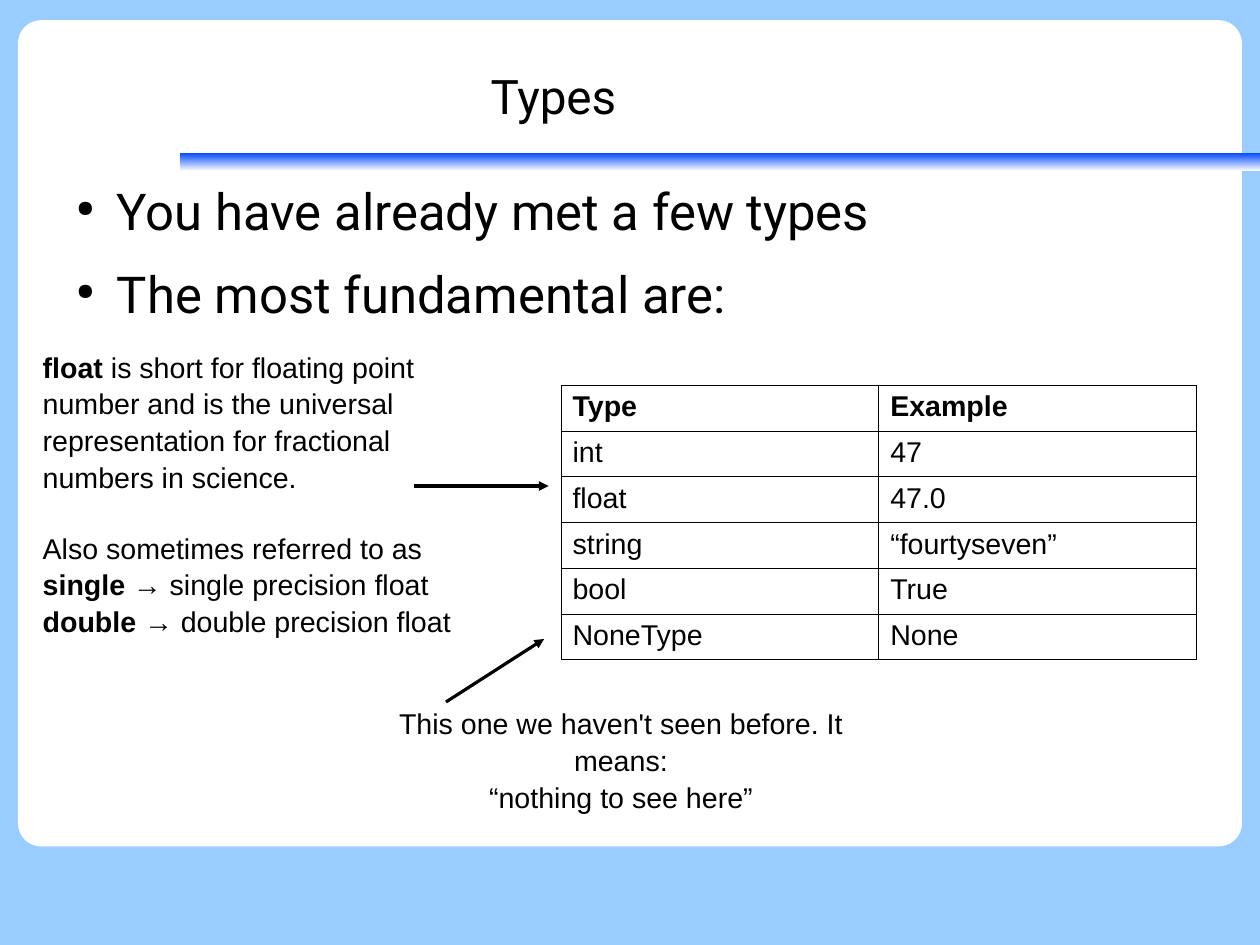
from lxml.etree import SubElement
from pptx import Presentation
from pptx.dml.color import RGBColor
from pptx.enum.shapes import MSO_CONNECTOR as Connector, MSO_SHAPE as Shape
from pptx.enum.text import MSO_ANCHOR as Anchor, PP_ALIGN as Align
from pptx.oxml.ns import qn
from pptx.util import Cm, Pt

TITLE = "Types"
BULLETS = ["You have already met a few types", "The most fundamental are:"]
TYPES = [
    ("Type", "Example"),
    ("int", "47"),
    ("float", "47.0"),
    ("string", "“fourtyseven”"),
    ("bool", "True"),
    ("NoneType", "None"),
]
FLOAT_NOTE = [
    ("float", " is short for floating point"),
    ("", "number and is the universal"),
    ("", "representation for fractional"),
    ("", "numbers in science."),
    ("", "Also sometimes referred to as"),
    ("single", " → single precision float"),
    ("double", " → double precision float"),
]
SECOND_PART = 4
NONE_NOTE = [
    ("", "This one we haven't seen before. It means:"),
    ("", "“nothing to see here”"),
]
ARROWS = [((9.91, 15.6), (12.09, 14.2)), ((9.19, 10.8), (12.19, 10.8))]

BLACK, WHITE, BLUE, SKY = "000000", "FFFFFF", "0047FF", "99CCFF"
TABLE_LEFT, TABLE_TOP, COLUMN_WIDTH, ROW_HEIGHT = 12.47, 8.56, 7.06, 0.97
NOTE_LEADING = 1.07


def color(value):
    return RGBColor.from_string(value)


def style(font, name, size, bold=False):
    font.name, font.size, font.bold = name, Pt(size), bold
    font.color.rgb = color(BLACK)


def clear_margins(frame):
    frame.margin_left = frame.margin_right = 0
    frame.margin_top = frame.margin_bottom = 0


def next_paragraph(frame, index):
    return frame.add_paragraph() if index else frame.paragraphs[0]


def add_panel(slide, kind, left, top, width, height):
    shape = slide.shapes.add_shape(kind, Cm(left), Cm(top), Cm(width), Cm(height))
    shape.shadow.inherit = False
    shape.line.fill.background()
    return shape


def add_background(slide):
    slide.background.fill.solid()
    slide.background.fill.fore_color.rgb = color(SKY)
    panel = add_panel(slide, Shape.ROUNDED_RECTANGLE, 0.4, 0.45, 27.2, 18.36)
    panel.adjustments[0] = 0.028
    panel.fill.solid()
    panel.fill.fore_color.rgb = color(WHITE)
    bar = add_panel(slide, Shape.RECTANGLE, 4, 3.4, 24, 0.4)
    bar.fill.gradient()
    bar.fill.gradient_angle = 270
    for stop, value in zip(bar.fill.gradient_stops, (BLUE, WHITE)):
        stop.color.rgb = color(value)


def add_title(slide):
    title = slide.shapes.title
    slide.shapes.element.append(title.element)
    title.left, title.top, title.width, title.height = Cm(1.4), Cm(0.84), Cm(21.8), Cm(2.57)
    frame = title.text_frame
    frame.text = TITLE
    clear_margins(frame)
    frame.vertical_anchor = Anchor.MIDDLE
    frame.paragraphs[0].alignment = Align.CENTER
    style(frame.paragraphs[0].runs[0].font, "Roboto", 30)


def add_bullets(slide):
    frame = slide.shapes.add_textbox(Cm(1.4), Cm(3.99), Cm(25.2), Cm(3.6)).text_frame
    frame.word_wrap = True
    clear_margins(frame)
    for index, text in enumerate(BULLETS):
        paragraph = next_paragraph(frame, index)
        paragraph.text = text
        paragraph.space_after = Pt(14.1)
        properties = paragraph._p.get_or_add_pPr()
        properties.set("marL", str(Cm(1.2)))
        properties.set("indent", str(Cm(-0.9)))
        SubElement(SubElement(properties, qn("a:buClr")), qn("a:srgbClr"), val=BLACK)
        SubElement(properties, qn("a:buSzPct"), val="45000")
        SubElement(properties, qn("a:buChar"), char="●")
        style(paragraph.runs[0].font, "Roboto", 32)


def add_borders(cell):
    properties = cell._tc.get_or_add_tcPr()
    for side in ("lnL", "lnR", "lnT", "lnB"):
        border = SubElement(properties, qn(f"a:{side}"), w=str(Pt(0.57)))
        SubElement(SubElement(border, qn("a:solidFill")), qn("a:srgbClr"), val=BLACK)


def add_type_table(slide):
    rows, columns = len(TYPES), len(TYPES[0])
    table = slide.shapes.add_table(
        rows, columns, Cm(TABLE_LEFT), Cm(TABLE_TOP),
        Cm(columns * COLUMN_WIDTH), Cm(rows * ROW_HEIGHT)).table
    table.first_row = table.horz_banding = False
    for row_index, texts in enumerate(TYPES):
        table.rows[row_index].height = Cm(ROW_HEIGHT)
        for column_index, text in enumerate(texts):
            cell = table.cell(row_index, column_index)
            cell.text = text
            add_borders(cell)
            cell.fill.background()
            style(cell.text_frame.paragraphs[0].runs[0].font, "Arial", 18, row_index == 0)


def add_note(slide, lines, left, top, width, height, alignment, gap_before=None):
    frame = slide.shapes.add_textbox(Cm(left), Cm(top), Cm(width), Cm(height)).text_frame
    frame.word_wrap = False
    for index, (term, text) in enumerate(lines):
        paragraph = next_paragraph(frame, index)
        paragraph.alignment = alignment
        paragraph.line_spacing = NOTE_LEADING
        if index == gap_before:
            paragraph.space_before = Pt(21.6)
        for part, bold in ((term, True), (text, False)):
            if part:
                run = paragraph.add_run()
                run.text = part
                style(run.font, "Arial", 18, bold)


def add_arrow(slide, start, end):
    arrow = slide.shapes.add_connector(
        Connector.STRAIGHT, *(Cm(value) for value in start + end))
    arrow.line.color.rgb = color(BLACK)
    arrow.line.width = 0
    SubElement(arrow.line._get_or_add_ln(), qn("a:tailEnd"), type="triangle")
    SubElement(arrow._element.spPr, qn("a:effectLst"))


def main():
    presentation = Presentation()
    presentation.slide_width, presentation.slide_height = Cm(28), Cm(21)
    slide = presentation.slides.add_slide(presentation.slide_layouts[5])
    add_background(slide)
    add_title(slide)
    add_bullets(slide)
    add_type_table(slide)
    add_note(slide, NONE_NOTE, 7.49, 15.52, 12.62, 1.68, Align.CENTER)
    add_note(slide, FLOAT_NOTE, 0.7, 7.59, 9.58, 5.94, Align.LEFT, SECOND_PART)
    for start, end in ARROWS:
        add_arrow(slide, start, end)
    presentation.save("out.pptx")


if __name__ == "__main__":
    main()
